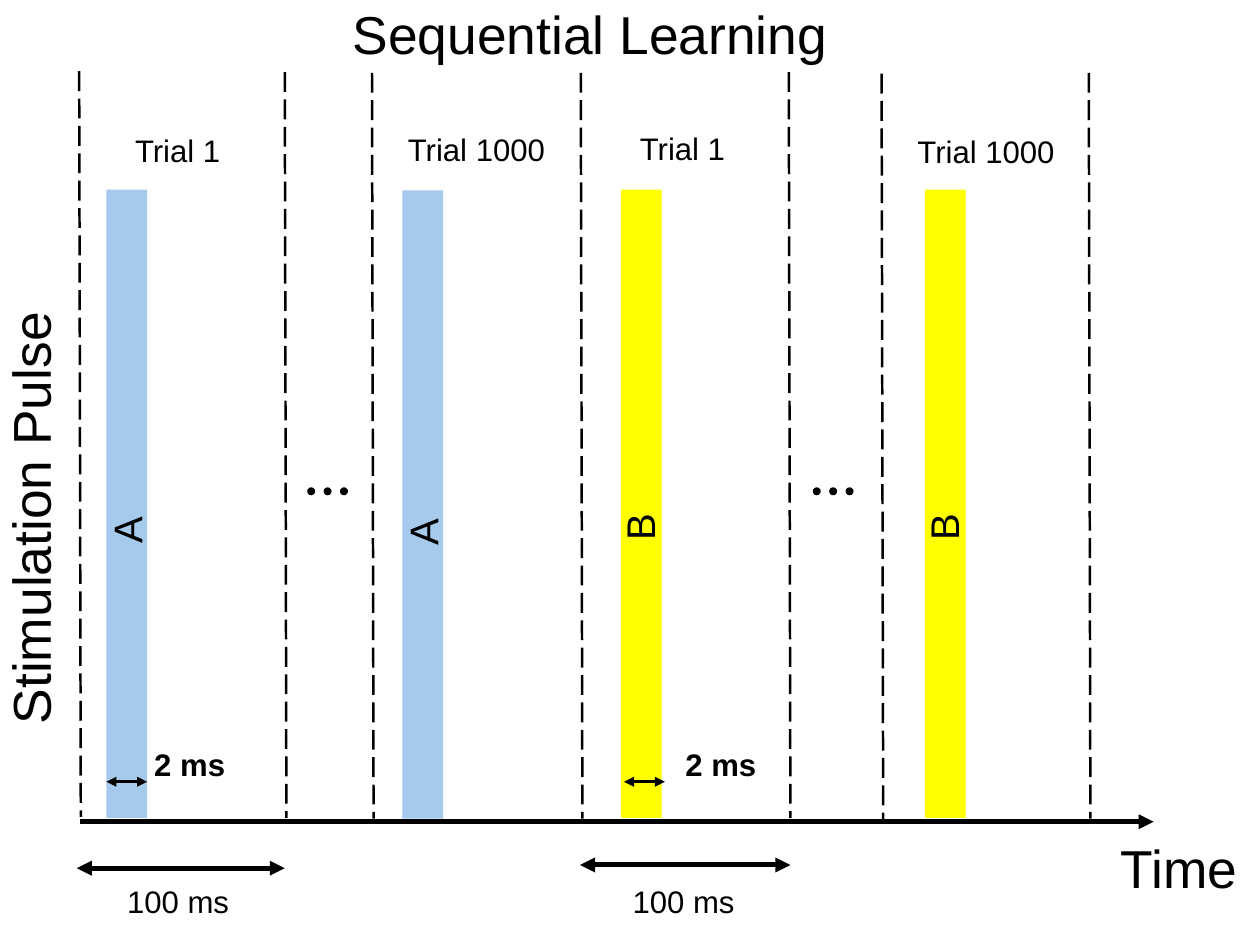
from dataclasses import dataclass

from lxml import etree
from pptx import Presentation
from pptx.dml.color import RGBColor
from pptx.enum.dml import MSO_LINE
from pptx.enum.shapes import MSO_CONNECTOR, MSO_SHAPE
from pptx.enum.text import MSO_ANCHOR, MSO_AUTO_SIZE, PP_ALIGN
from pptx.oxml.ns import qn
from pptx.util import Inches, Pt


@dataclass(frozen=True)
class Theme:
    font: str = "Arial"
    ink: RGBColor = RGBColor(0x00, 0x00, 0x00)
    pulse_a: RGBColor = RGBColor(0xA6, 0xCA, 0xEC)
    pulse_b: RGBColor = RGBColor(0xFF, 0xFF, 0x00)
    heading: int = 48
    letter: int = 36
    label: int = 28


theme = Theme()
deck = Presentation()
deck.slide_width, deck.slide_height = Inches(15.75), Inches(11.81)
page = deck.slides.add_slide(deck.slide_layouts[5])


def write(text, left, top, width, height, size, bold=False, rotation=0, box=None):
    box = box or page.shapes.add_textbox(0, 0, 0, 0)
    box.left, box.top = Inches(left), Inches(top)
    box.width, box.height = Inches(width), Inches(height)
    box.rotation = rotation
    frame = box.text_frame
    frame.word_wrap = True
    frame.auto_size = MSO_AUTO_SIZE.NONE
    frame.vertical_anchor = MSO_ANCHOR.TOP
    para = frame.paragraphs[0]
    para.text = text
    para.alignment = PP_ALIGN.LEFT
    para.font.name, para.font.size = theme.font, Pt(size)
    para.font.bold, para.font.color.rgb = bold, theme.ink


def draw_line(start, end, weight, ends=(), dash=None):
    line = page.shapes.add_connector(
        MSO_CONNECTOR.STRAIGHT, *(Inches(value) for value in (*start, *end)))
    line.line.color.rgb = theme.ink
    line.line.width = Pt(weight)
    if dash:
        line.line.dash_style = dash
    outline = line.line._get_or_add_ln()
    for arrow_end in ends:
        etree.SubElement(outline, qn(f"a:{arrow_end}"), type="triangle")
    etree.SubElement(line._element.spPr, qn("a:effectLst"))


both_ends = ("headEnd", "tailEnd")

# Title and axis names
write("Sequential Learning", 4.31, -0.04, 6.65, 0.91, theme.heading, box=page.shapes.title)
write("Stimulation Pulse", -2.87, 5.45, 6.49, 0.91, theme.heading, rotation=270)
write("Time", 13.91, 10.39, 1.76, 0.91, theme.heading)

# Pulses: letter, colour, bar left, bar top, letter left, letter top
pulses = [
    ("A", theme.pulse_a, 1.33, 2.37, 1.30, 6.25),
    ("A", theme.pulse_a, 5.03, 2.38, 5.00, 6.27),
    ("B", theme.pulse_b, 7.76, 2.37, 7.71, 6.21),
    ("B", theme.pulse_b, 11.56, 2.37, 11.51, 6.21),
]
for letter, colour, left, top, letter_left, letter_top in pulses:
    bar = page.shapes.add_shape(
        MSO_SHAPE.RECTANGLE, Inches(left), Inches(top), Inches(0.51), Inches(7.85))
    bar.shadow.inherit = False
    bar.fill.solid()
    bar.fill.fore_color.rgb = colour
    bar.line.fill.background()
    write(letter, letter_left, letter_top, 0.57, 0.71, theme.letter, rotation=270)

# Trial names
for text, left, top, width in [("Trial 1", 1.59, 1.59, 1.34), ("Trial 1000", 5, 1.58, 1.99),
                               ("Trial 1", 7.9, 1.57, 1.34), ("Trial 1000", 11.37, 1.6, 1.99)]:
    write(text, left, top, width, 0.57, theme.label)

# Trial boundaries
for left, top in [(0.99, 0.89), (3.56, 0.9), (4.65, 0.91), (7.26, 0.91),
                  (9.86, 0.9), (11.02, 0.92), (13.61, 0.91)]:
    draw_line((left, top), (left + 0.02, top + 9.32), 2.25, dash=MSO_LINE.LONG_DASH)

# Dots for the trials left out
for first_dot in (3.84, 10.16):
    for step in range(3):
        dot = page.shapes.add_shape(
            MSO_SHAPE.OVAL, Inches(first_dot + step * 0.205), Inches(6.09),
            Inches(0.1), Inches(0.1))
        dot.shadow.inherit = False
        dot.fill.solid()
        dot.fill.fore_color.rgb = theme.ink
        dot.line.fill.background()

# Time axis
draw_line((1, 10.27), (14.42, 10.27), 4.5, ends=("tailEnd",))

# Pulse widths
for arrow_left, label_left in [(1.33, 1.83), (7.8, 8.47)]:
    draw_line((arrow_left, 9.77), (arrow_left + 0.51, 9.77), 3, ends=both_ends)
    write("2 ms", label_left, 9.27, 1.1, 0.57, theme.label, bold=True)

# Trial durations
for start, end, top, label_left in [(0.96, 3.56, 10.85, 1.49), (7.25, 9.88, 10.81, 7.81)]:
    draw_line((start, top), (end, top), 4.5, ends=both_ends)
    write("100 ms", label_left, 10.98, 1.54, 0.57, theme.label)

deck.save("out.pptx")
